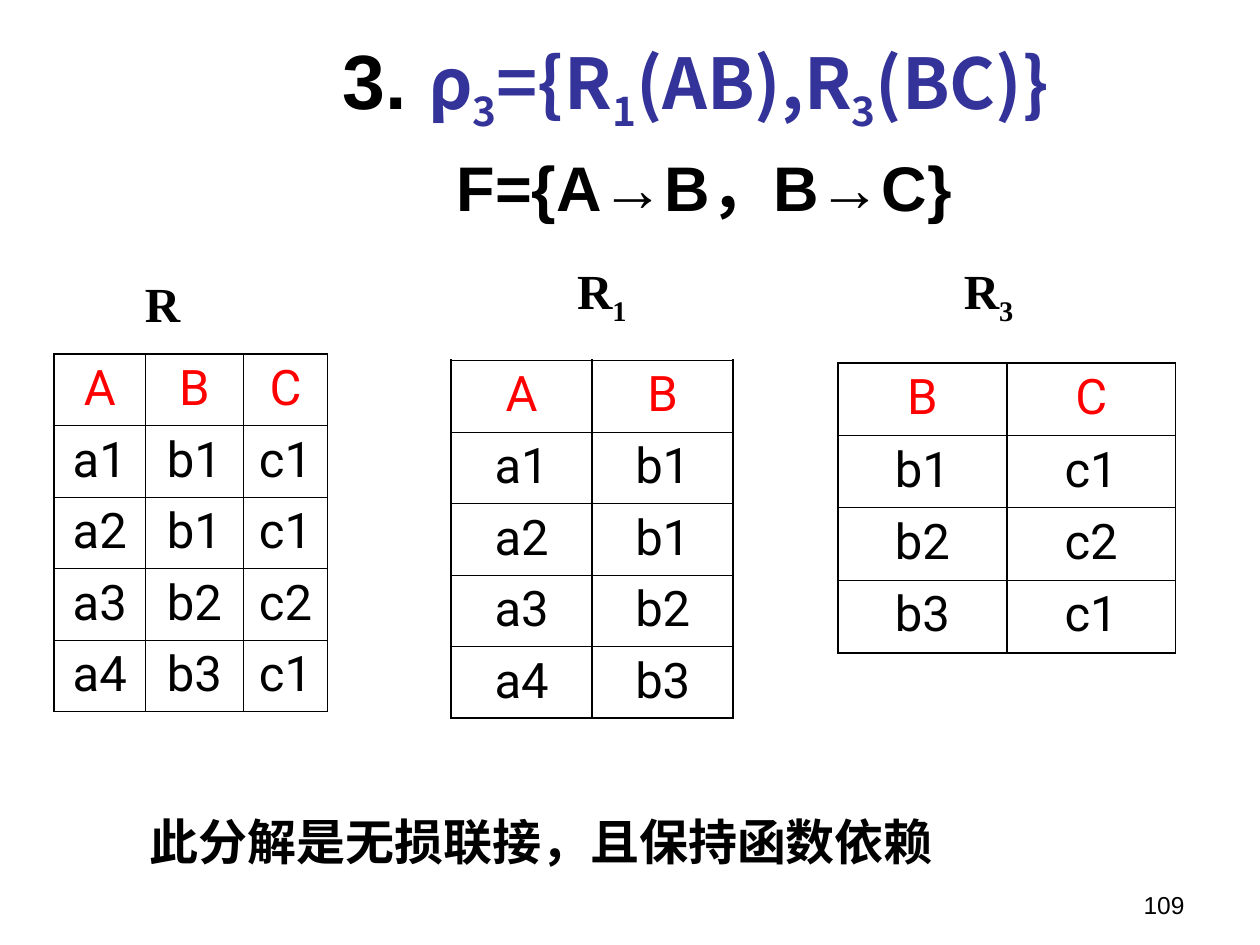
import pptx
import pptx.dml.color
import pptx.enum.text
import pptx.oxml
import pptx.oxml.ns
import pptx.util
from lxml import etree

Pt = pptx.util.Pt
Align = pptx.enum.text.PP_ALIGN
Anchor = pptx.enum.text.MSO_ANCHOR
Fit = pptx.enum.text.MSO_AUTO_SIZE
qn = pptx.oxml.ns.qn
BLACK = pptx.dml.color.RGBColor(0x00, 0x00, 0x00)
BLUE = pptx.dml.color.RGBColor(0x33, 0x33, 0x99)
RED = pptx.dml.color.RGBColor(0xFF, 0x00, 0x00)
HAN = "Noto Sans CJK SC"

deck = pptx.Presentation()
deck.slide_width, deck.slide_height = Pt(720), Pt(540)
slide = deck.slides.add_slide(deck.slide_layouts[6])


def add_box(left, top, width, height, align, form):
    """Add a text box; return its frame and first paragraph."""
    box = slide.shapes.add_textbox(Pt(left), Pt(top), Pt(width), Pt(height))
    frame = box.text_frame
    for key, value in form.items():
        setattr(frame, key, value)
    frame.paragraphs[0].alignment = align
    return frame, frame.paragraphs[0]


def add_run(para, text, look, color=BLACK, sub=False):
    """Add a run in the given look, lowered if it is a subscript."""
    run = para.add_run()
    run.text = text
    for key, value in look.items():
        setattr(run.font, key, value)
    run.font.color.rgb = color
    props = run._r.get_or_add_rPr()
    etree.SubElement(props, qn("a:ea")).set("typeface", HAN)
    if sub:
        props.set("baseline", "-25000")


# Page number
wrap = {"word_wrap": True}
frame, para = add_box(516.2, 491.8, 167.8, 37.4, Align.RIGHT,
                      {**wrap, "vertical_anchor": Anchor.BOTTOM})
add_run(para, "109", {"size": Pt(14), "name": "Arial"})

# Title: the decomposition, then its dependencies
frame, para = add_box(90.7, 16.6, 613.4, 115.2, Align.CENTER,
                      {**wrap, "vertical_anchor": Anchor.MIDDLE})
head = {"size": Pt(44), "name": "Arial", "bold": True}
math = {"size": Pt(40), "name": HAN, "bold": True}
add_run(para, "3. ", head)
parts = ["ρ", "3", "={R", "1", "(AB),R", "3", "(BC)}"]
for i, part in enumerate(parts):
    add_run(para, part, math, BLUE, sub=i % 2 == 1)
para.add_line_break()
add_run(para, " ", {**head, "name": HAN})
add_run(para, "F={A→B，B→C}", {**head, "size": Pt(36)})

# Conclusion
frame, para = add_box(42.5, 428.4, 640.8, 85, Align.LEFT,
                      {**wrap, "margin_top": Pt(42), "margin_left": Pt(43.2)})
para.line_spacing = 0.8
add_run(para, "此分解是无损联接，且保持函数依赖",
        {"size": Pt(28), "name": HAN, "bold": True})

# Relation names: left, top, width, height, subscript
names = [(75.6, 152.6, 34.6, 41, ""),
         (322.6, 145.4, 42.5, 45.4, "1"),
         (543.6, 145.4, 42.5, 45.4, "3")]
serif = {"size": Pt(28), "name": "Times New Roman", "bold": True}
for *place, index in names:
    frame, para = add_box(*place, Align.CENTER,
                          {"word_wrap": False, "auto_size": Fit.SHAPE_TO_FIT_TEXT})
    add_run(para, "R", serif)
    if index:
        add_run(para, index, serif, sub=True)

# Relations: left, top, column widths, row height, inner upright line, rows
THICK, THIN = 1.08, 0.45
grids = [
    (31, 202.3, [52, 56.2, 48], 40.8, THIN,
     ["A B C", "a1 b1 c1", "a2 b1 c1", "a3 b2 c2", "a4 b3 c1"]),
    (257.8, 205.9, [80.6, 80.6], 40.9, THICK,
     ["A B", "a1 b1", "a2 b1", "a3 b2", "a4 b3"]),
    (478.8, 207.4, [96.5, 96.5], 41.4, THICK,
     ["B C", "b1 c1", "b2 c2", "b3 c1"]),
]
sans = {"size": Pt(28), "name": "Roboto"}
for left, top, widths, high, inner, rows in grids:
    table = slide.shapes.add_table(
        len(rows), len(widths), Pt(left), Pt(top),
        Pt(sum(widths)), Pt(high * len(rows))).table
    table.first_row = table.horz_banding = False
    for col, width in zip(table.columns, widths):
        col.width = Pt(width)
    for r, line in enumerate(rows):
        table.rows[r].height = Pt(high)
        for c, text in enumerate(line.split()):
            cell = table.cell(r, c)
            para = cell.text_frame.paragraphs[0]
            para.alignment = Align.CENTER
            add_run(para, text, sans, BLACK if r else RED)
            # Borders come before the fill in the cell properties
            edges = {"L": inner if c else THICK,
                     "R": inner if c < len(widths) - 1 else THICK,
                     "T": THIN if r else THICK,
                     "B": THIN if r < len(rows) - 1 else THICK}
            props = cell._tc.get_or_add_tcPr()
            for side, weight in edges.items():
                edge = etree.SubElement(props, qn(f"a:ln{side}"))
                edge.set("w", str(int(Pt(weight))))
                fill = etree.SubElement(edge, qn("a:solidFill"))
                etree.SubElement(fill, qn("a:srgbClr")).set("val", str(BLACK))
            cell.fill.background()

deck.save("out.pptx")
